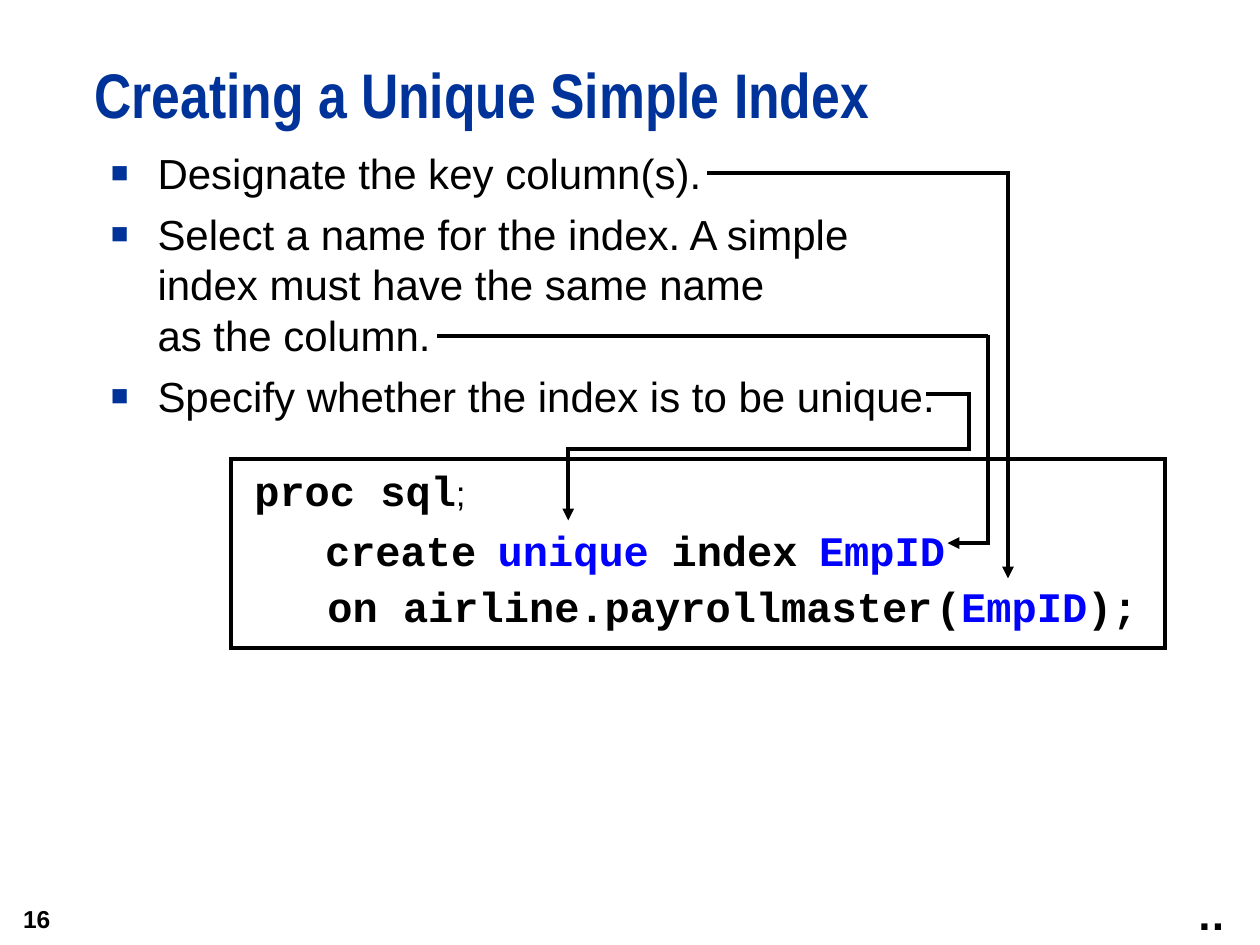
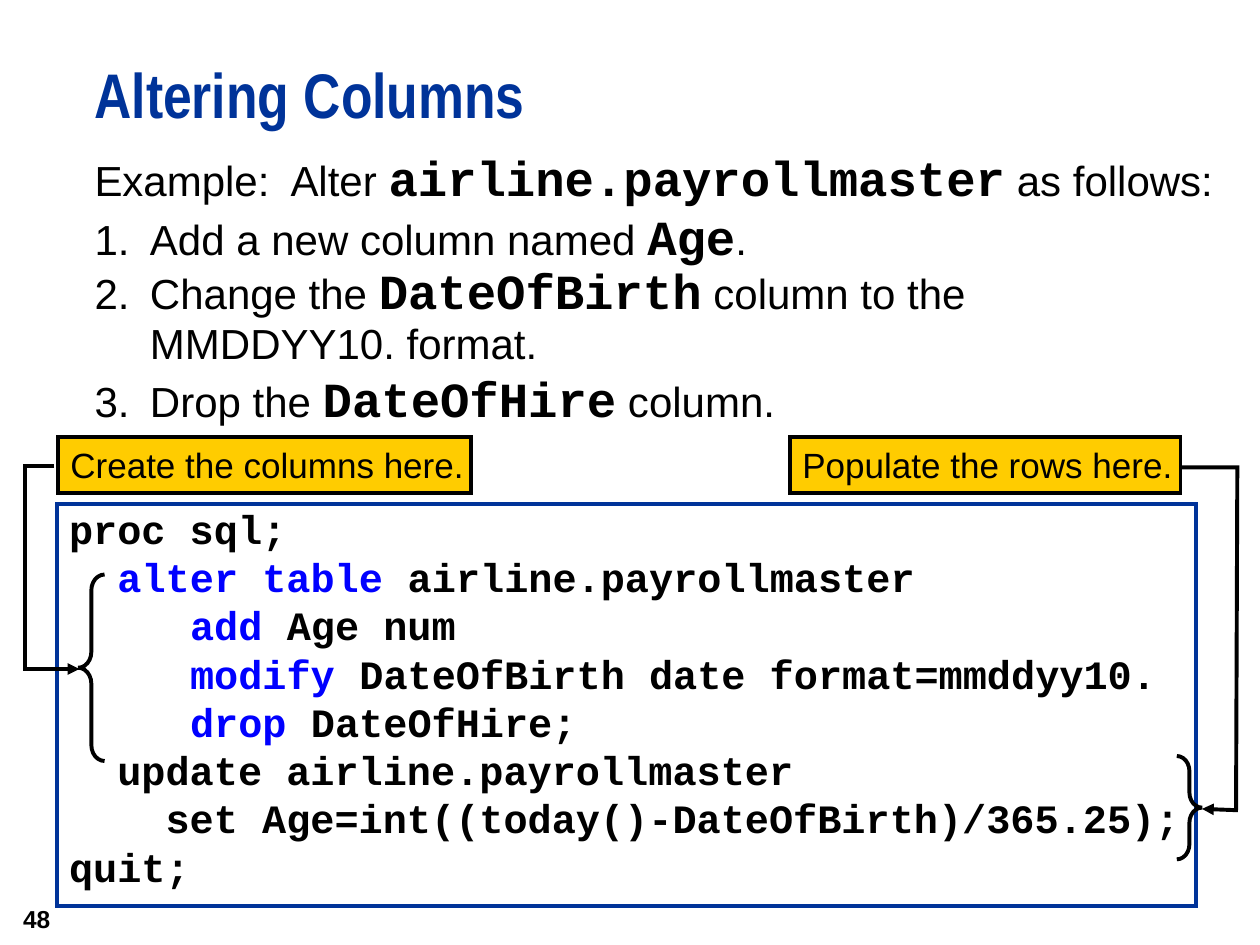
from lxml.etree import SubElement as Sub
from pptx import Presentation
from pptx.dml.color import RGBColor
from pptx.enum.shapes import MSO_CONNECTOR as Conn, MSO_SHAPE as Form
from pptx.enum.text import MSO_ANCHOR as Anchor, PP_ALIGN as Align
from pptx.oxml.ns import qn
from pptx.util import Inches, Pt

rgb = RGBColor.from_string
BLACK, NAVY, BLUE, GOLD, WHITE = "000000", "003399", "0000FF", "FFCC00", "FFFFFF"
SANS, MONO = "Arial", "Courier New"
PAD = (0.1, 0.05, 0.1, 0.05)
KEY = dict(color=BLUE)
NAME = dict(font=MONO, size=28, bold=True)


def write(shape, lines, size, font=SANS, bold=False, color=BLACK, pad=(0, 0, 0, 0),
          wrap=True, mark=KEY, before=0, hang=0, level=0, bullet=None):
    """Fill a shape with paragraphs; parts between bars take the mark style."""
    frame = shape.text_frame
    frame.word_wrap = wrap
    frame.vertical_anchor = Anchor.TOP
    (frame.margin_left, frame.margin_top,
     frame.margin_right, frame.margin_bottom) = map(Inches, pad)
    for i, line in enumerate(lines):
        par = frame.add_paragraph() if i else frame.paragraphs[0]
        par.alignment = Align.LEFT
        if i and before:
            par.space_before = Pt(before)
        props = par._p.get_or_add_pPr()
        if hang:
            props.set("marL", str(Inches(level)))
            props.set("indent", str(-Inches(hang)))
        if bullet:
            Sub(Sub(props, qn("a:buClr")), qn("a:srgbClr"), val=NAVY)
            Sub(props, qn("a:buSzPct"), val="70000")
            Sub(props, qn("a:buFont"), typeface=SANS)
            Sub(props, qn("a:buChar"), char=bullet)
        par.font.name, par.font.size, par.font.bold = font, Pt(size), bold
        par.font.color.rgb = rgb(color)
        parts = line.split("|")
        if len(parts) == 1:
            par.text = line
            continue
        for n, part in enumerate(parts):
            if part:
                run = par.add_run()
                run.text = part
                look = mark if n % 2 else {}
                run.font.name = look.get("font", font)
                run.font.size = Pt(look.get("size", size))
                run.font.bold = look.get("bold", bold)
                run.font.color.rgb = rgb(look.get("color", color))
    return frame


def ink(shape, color=BLACK, arrow=False):
    """Draw a sharp outline without a shadow, with an arrowhead if asked."""
    shape.line.color.rgb = rgb(color)
    shape.line.width = Pt(2.25)
    edge = shape.line._get_or_add_ln()
    Sub(edge, qn("a:miter"), lim="800000")
    if arrow:
        Sub(edge, qn("a:tailEnd"), type="triangle")
    Sub(shape._element.spPr, qn("a:effectLst"))


deck = Presentation()
deck.slide_width, deck.slide_height = Inches(10), Inches(7.5)

# Title and slide number
pages = []
for title, num in (("Creating a Unique Simple Index", "16"), ("Altering Columns", "48")):
    page = deck.slides.add_slide(deck.slide_layouts[6])
    pages.append(page)
    head = page.shapes.add_textbox(*map(Inches, (0.75, 0.5, 9.25, 0.75)))
    frame = write(head, [title], 36, "Arial Narrow", True, NAVY)
    frame.paragraphs[0].line_spacing = Pt(39)
    foot = page.shapes.add_textbox(*map(Inches, (0, 7.08, 0.58, 0.42)))
    frame = write(foot, [num], 14, bold=True, pad=(0.1, 0.05, 0.18, 0.05))
    frame.vertical_anchor = Anchor.MIDDLE
    frame.paragraphs[0].alignment = Align.RIGHT

# Slide 1: steps
art = pages[0].shapes
steps = ["Designate the key column(s).",
         "Select a name for the index. A simple \vindex must have the same name \v"
         "as the column.",
         "Specify whether the index is to be unique."]
body = art.add_textbox(*map(Inches, (0.75, 1.17, 8.58, 4.67)))
write(body, steps, 24, before=6, level=0.5, hang=0.37, bullet="■")

# Slide 1: code panel
panel = art.add_shape(Form.RECTANGLE, *map(Inches, (1.83, 3.64, 7.42, 1.5)))
panel.fill.solid()
panel.fill.fore_color.rgb = rgb(WHITE)
ink(panel)
first = art.add_textbox(*map(Inches, (1.92, 3.64, 2.08, 0.5)))
write(first, ["proc sql|;"], 24, MONO, True, pad=PAD,
      mark=dict(font=SANS, size=20, bold=False))
for left, wide, word, color in ((2.58, 1.2, "create", BLACK), (3.95, 1.2, "unique", BLUE),
                                (5.33, 1, "index", BLACK), (6.5, 1, "EmpID", BLUE)):
    box = art.add_textbox(*map(Inches, (left, 4.16, wide, 0.4)))
    write(box, [word], 24, MONO, True, color, wrap=False)
for left, wide, code in ((2.5, 5.08, "on airline.payrollmaster"), (7.33, 1.92, "(|EmpID|);")):
    box = art.add_textbox(*map(Inches, (left, 4.56, wide, 0.5)))
    write(box, [code], 24, MONO, True, pad=PAD)

# Slide 1: lines from each step to its code
for x1, y1, x2, y2, arrow in ((5.61, 1.37, 8.01, 1.37, False),
                              (8, 1.36, 8, 4.59, True),
                              (3.47, 2.67, 7.84, 2.67, False),
                              (7.35, 3.13, 7.71, 3.13, False),
                              (7.69, 3.14, 7.69, 3.56, False),
                              (7.71, 3.56, 4.5, 3.56, False),
                              (4.51, 3.55, 4.51, 4.13, True)):
    line = art.add_connector(Conn.STRAIGHT, *map(Inches, (x1, y1, x2, y2)))
    ink(line, arrow=arrow)
dots = art.add_textbox(*map(Inches, (9.41, 7.06, 0.44, 0.44)))
write(dots, ["..."], 20, "DejaVu Sans", True, pad=PAD, wrap=False)

# Slide 2: code panel
art2 = pages[1].shapes
code = ["proc sql;",
        "  |alter table| airline.payrollmaster",
        "     |add| Age num",
        "     |modify| DateOfBirth date format=mmddyy10.",
        "     |drop| DateOfHire;",
        "  update airline.payrollmaster",
        "    set Age=int((today()-DateOfBirth)/365.25);",
        "quit;"]
panel = art2.add_shape(Form.RECTANGLE, *map(Inches, (0.45, 4, 9.04, 3.19)))
panel.fill.solid()
panel.fill.fore_color.rgb = rgb(WHITE)
ink(panel, NAVY)
write(panel, code, 23, MONO, True, pad=(0.1, 0, 0.01, 0))

# Slide 2: braces
for form, at in ((Form.LEFT_BRACE, (0.62, 4.56, 0.21, 1.48)),
                 (Form.RIGHT_BRACE, (9.34, 6, 0.2, 0.82))):
    brace = art2.add_shape(form, *map(Inches, at))
    brace.adjustments[0] = 0.6
    brace.fill.background()
    ink(brace)

# Slide 2: labels
for left, wide, label in ((0.46, 3.28, "Create the columns here."),
                          (6.27, 3.1, "Populate the rows here.")):
    tag = art2.add_shape(Form.RECTANGLE, *map(Inches, (left, 3.47, wide, 0.44)))
    tag.fill.solid()
    tag.fill.fore_color.rgb = rgb(GOLD)
    ink(tag)
    write(tag, [label], 20, pad=(0.1, 0.05, 0.06, 0.05), wrap=False)

# Bent arrows on both slides
for shapes, *route in ((art, (7.84, 2.66), (7.84, 4.31), (7.52, 4.31)),
                       (art2, (9.37, 3.71), (9.82, 3.71), (9.81, 6.43), (9.54, 6.42))):
    start, *rest = [(Inches(x), Inches(y)) for x, y in route]
    pen = shapes.build_freeform(*start)
    pen.add_line_segments(rest, close=False)
    bend = pen.convert_to_shape()
    bend.fill.background()
    ink(bend, arrow=True)
elbow = art2.add_connector(Conn.ELBOW, *map(Inches, (0.43, 3.7, 0.63, 5.31)))
guides = elbow._element.spPr.find(qn("a:prstGeom")).get_or_add_avLst()
Sub(guides, qn("a:gd"), name="adj1", fmla="val -115000")
ink(elbow, arrow=True)

# Slide 2: example
tasks = ["Example:  Alter |airline.payrollmaster| as follows:",
         "1.\tAdd a new column named |Age|.",
         "2.\tChange the |DateOfBirth| column to the MMDDYY10. format.",
         "3.\tDrop the |DateOfHire| column."]
body = art2.add_textbox(*map(Inches, (0.75, 1.17, 8.92, 4.67)))
frame = write(body, tasks, 24, mark=NAME, level=0.44, hang=0.44)
frame.paragraphs[2].line_spacing = 0.95

deck.save("out.pptx")
